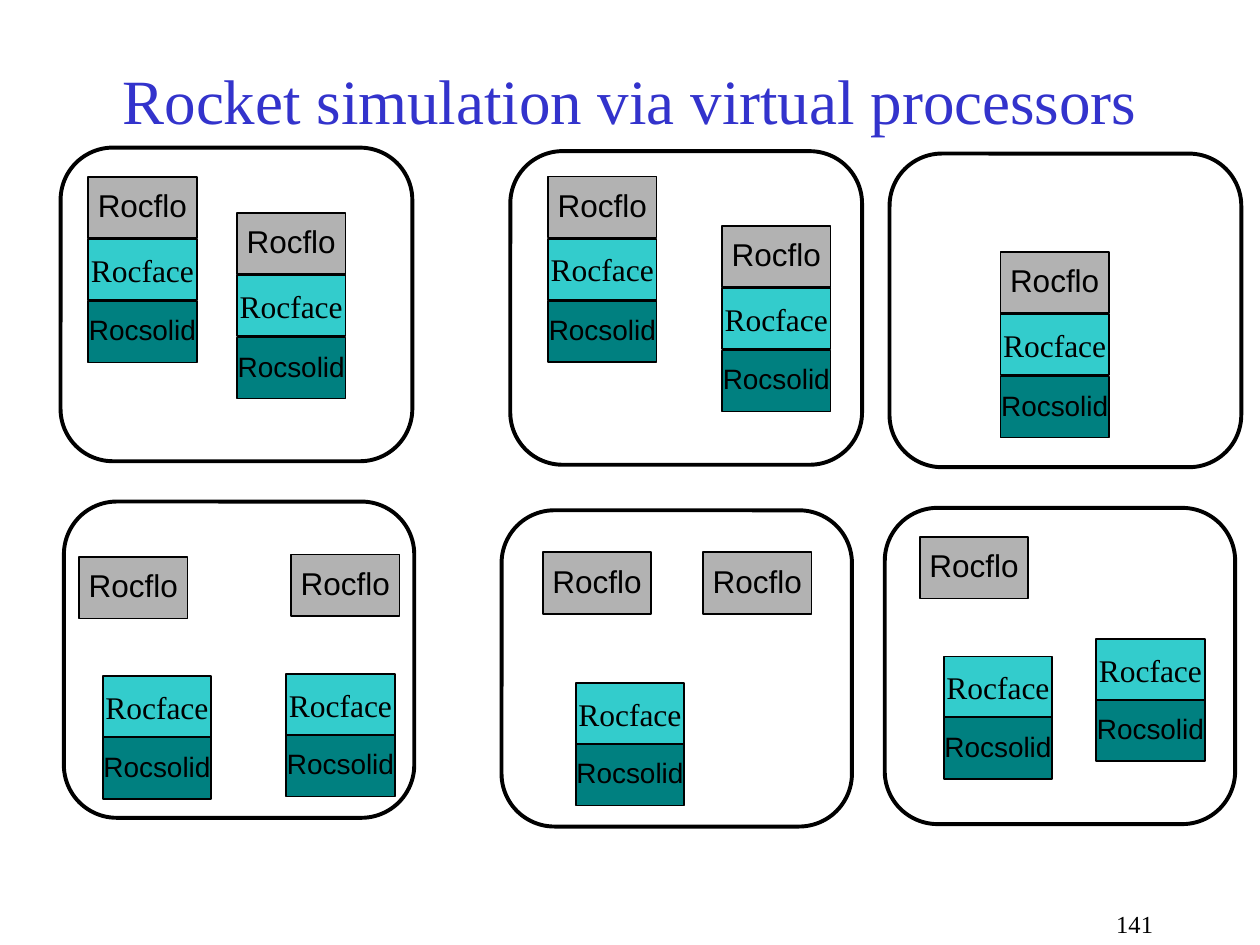
import dataclasses

import pptx
import pptx.dml.color
import pptx.enum.shapes
import pptx.enum.text
import pptx.util

Pt = pptx.util.Pt
Rgb = pptx.dml.color.RGBColor.from_string
Kind = pptx.enum.shapes.MSO_SHAPE
Align = pptx.enum.text.PP_ALIGN
Anchor = pptx.enum.text.MSO_ANCHOR


@dataclasses.dataclass(frozen=True)
class Theme:
    blue: str = "3333CC"
    black: str = "000000"
    grey: str = "B2B2B2"
    aqua: str = "33CCCC"
    teal: str = "008080"
    serif: str = "Times New Roman"
    sans: str = "Arial"
    title: int = 36
    label: int = 18
    small: int = 16
    number: int = 14


theme = Theme()
# Each module: fill, font, type size, line spacing
modules = {
    "Rocflo": (theme.grey, theme.sans, theme.label, 0.9),
    "Rocface": (theme.aqua, theme.serif, theme.label, 1.0),
    "Rocsolid": (theme.teal, theme.sans, theme.small, 0.9),
}


def write(frame, text, align, font, size, color):
    par = frame.paragraphs[0]
    par.alignment = align
    run = par.add_run()
    run.text = text
    run.font.name = font
    run.font.size = Pt(size)
    run.font.color.rgb = Rgb(color)
    return par


def stack(group, names, left, top, high, step):
    """Draw the named modules as boxes one below the other."""
    for row, name in enumerate(names):
        fill, font, size, space = modules[name]
        box = group.shapes.add_shape(
            Kind.RECTANGLE, Pt(left), Pt(top + row * step), Pt(62), Pt(high))
        box.shadow.inherit = False
        box.fill.solid()
        box.fill.fore_color.rgb = Rgb(fill)
        box.line.color.rgb = Rgb(theme.black)
        box.line.width = Pt(1)
        frame = box.text_frame
        frame.word_wrap = False
        frame.vertical_anchor = Anchor.MIDDLE
        par = write(frame, name, Align.CENTER, font, size, theme.black)
        par.line_spacing = space


deck = pptx.Presentation()
deck.slide_width, deck.slide_height = Pt(720), Pt(540)
slide = deck.slides.add_slide(deck.slide_layouts[5])

title = slide.shapes.title
title.left, title.top, title.width, title.height = Pt(30), Pt(36), Pt(660), Pt(42)
title.text_frame.auto_size = pptx.enum.text.MSO_AUTO_SIZE.NONE
title.text_frame.vertical_anchor = Anchor.MIDDLE
write(title.text_frame, "Rocket simulation via virtual processors",
      Align.CENTER, theme.serif, theme.title, theme.blue)

flo, face, solid = modules
whole, pair, single = (flo, face, solid), (face, solid), (flo,)

# Each row: box height, step, frame width and height, frames, stacks
rows = [
    (34.9, 35.6, 201, 179.2,
     [(34.6, 84.4), (291.6, 86.4), (508.3, 87.8)],
     [(whole, [(50.4, 101), (135.4, 121.6), (313.2, 100.8),
               (412.6, 129), (571.7, 144)])]),
    (35.3, 34.8, 200.2, 180.7,
     [(36.5, 286.6), (286.6, 291.6), (505.6, 290.2)],
     [(single, [(45.2, 318.2), (166.3, 316.8), (310.2, 315.4),
                (401.8, 315.4), (525.6, 306.7)]),
      (pair, [(58.7, 386.4), (163.6, 385), (329, 390.2),
              (539.3, 375.1), (626.4, 365)])]),
]
for high, step, wide, tall, frames, stacks in rows:
    group = slide.shapes.add_group_shape()
    for names, spots in stacks:
        for left, top in spots:
            stack(group, names, left, top, high, step)
    for left, top in frames:
        node = group.shapes.add_shape(
            Kind.ROUNDED_RECTANGLE, Pt(left), Pt(top), Pt(wide), Pt(tall))
        node.adjustments[0] = 0.167
        node.shadow.inherit = False
        node.fill.background()
        node.line.color.rgb = Rgb(theme.black)
        node.line.width = Pt(2.25)

number = slide.shapes.add_textbox(Pt(534.2), Pt(516.2), Pt(131.8), Pt(23.8))
number.text_frame.word_wrap = True
write(number.text_frame, "141", Align.RIGHT, theme.serif, theme.number, theme.black)

deck.save("out.pptx")
